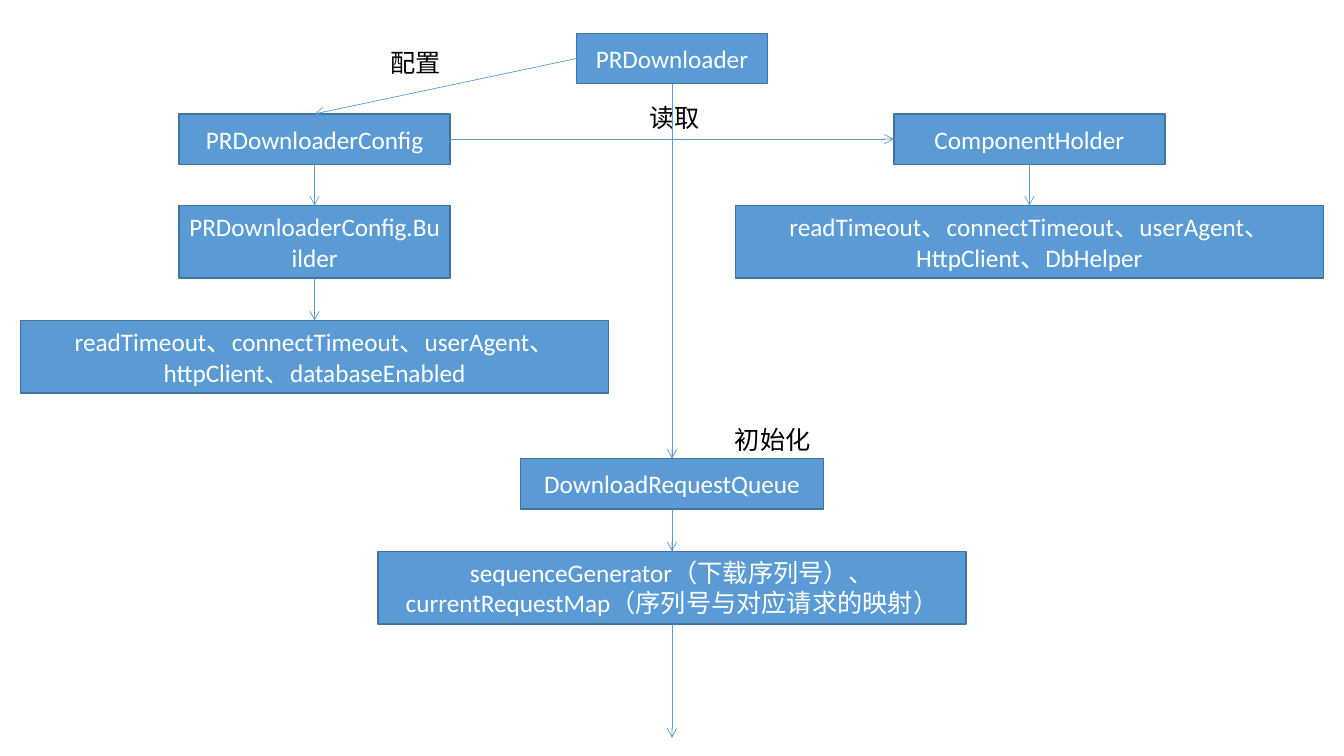
from lxml import etree
from pptx import Presentation
from pptx.dml.color import RGBColor
from pptx.enum.shapes import MSO_CONNECTOR, MSO_SHAPE
from pptx.enum.text import MSO_ANCHOR, MSO_AUTO_SIZE, PP_ALIGN
from pptx.oxml.ns import qn
from pptx.util import Inches, Pt

RECT = MSO_SHAPE.RECTANGLE
LINE = MSO_CONNECTOR.STRAIGHT
MIDDLE = MSO_ANCHOR.MIDDLE
CENTER = PP_ALIGN.CENTER
GROW = MSO_AUTO_SIZE.SHAPE_TO_FIT_TEXT
TOP, LEFT, BOTTOM, RIGHT = range(4)

COLORS = {"fill": "5B9BD5", "edge": "43739E", "light": "FFFFFF", "dark": "000000"}
WIDE, HIGH = 13.33, 7.5

# Three column centres, evenly spaced about the middle of the slide
MID = WIDE / 2
STEP = 3.545
COLS = {"left": MID - STEP, "mid": MID, "right": MID + STEP}
# Row tops
ROWS = [0.33, 1.13, 2.04, 3.18, 4.55, 5.47]
LOW, TALL = 0.5, 0.72
SIDE, BROAD = 2.69, 5.83

# name: column, row, width, height, text
BOXES = {
    "config": ("left", 1, SIDE, LOW, "PRDownloaderConfig"),
    "builder": ("left", 2, SIDE, TALL, "PRDownloaderConfig.Builder"),
    "options": ("left", 3, BROAD, TALL,
                "readTimeout、connectTimeout、userAgent、httpClient、databaseEnabled"),
    "holder": ("right", 1, SIDE, LOW, "ComponentHolder"),
    "fields": ("right", 2, BROAD, TALL,
               "readTimeout、connectTimeout、userAgent、HttpClient、DbHelper"),
    "queue": ("mid", 4, 3.01, LOW, "DownloadRequestQueue"),
    "members": ("mid", 5, BROAD, TALL,
                "sequenceGenerator（下载序列号）、currentRequestMap（序列号与对应请求的映射）"),
}

# left, top, width, text
LABELS = [(3.77, 0.42, 0.7, "配置"), (6.34, 0.97, 0.7, "读取"), (7.19, 4.16, 0.95, "初始化")]

# from, side, to, side
LINKS = [
    ("config", BOTTOM, "builder", TOP),
    ("builder", BOTTOM, "options", TOP),
    ("head", LEFT, "config", TOP),
    ("config", RIGHT, "holder", LEFT),
    ("holder", BOTTOM, "fields", TOP),
    ("head", BOTTOM, "queue", TOP),
    ("queue", BOTTOM, "members", TOP),
]


def color(name):
    return RGBColor.from_string(COLORS[name])


def write(frame, text, tint):
    para = frame.paragraphs[0]
    para.text = text
    para.font.size = Pt(18)
    para.font.name = "Calibri"
    para.font.color.rgb = color(tint)
    return para


def add_box(slide, col, row, width, height, text):
    box = slide.shapes.add_shape(RECT, Inches(COLS[col] - width / 2), Inches(ROWS[row]),
                                 Inches(width), Inches(height))
    box.shadow.inherit = False
    box.fill.solid()
    box.fill.fore_color.rgb = color("fill")
    box.line.color.rgb = color("edge")
    box.line.width = Pt(1)
    box.text_frame.word_wrap = True
    box.text_frame.vertical_anchor = MIDDLE
    write(box.text_frame, text, "light").alignment = CENTER
    return box


def add_label(slide, left, top, width, text):
    label = slide.shapes.add_textbox(Inches(left), Inches(top), Inches(width), Inches(0.4))
    label.text_frame.word_wrap = False
    label.text_frame.auto_size = GROW
    write(label.text_frame, text, "dark")


def add_arrow(slide, start, side, end=None, goal=TOP):
    """Arrow between two boxes, or down to the foot of the slide if end is None."""
    link = slide.shapes.add_connector(LINE, Inches(MID), 0, Inches(MID), Inches(7.32))
    link.begin_connect(start, side)
    if end is not None:
        link.end_connect(end, goal)
    link.line.color.rgb = color("fill")
    link.line.width = Pt(0.5)
    etree.SubElement(link.line._get_or_add_ln(), qn("a:tailEnd"), type="arrow")
    etree.SubElement(link._element.spPr, qn("a:effectLst"))


def main():
    deck = Presentation()
    deck.slide_width, deck.slide_height = Inches(WIDE), Inches(HIGH)
    slide = deck.slides.add_slide(deck.slide_layouts[6])

    # Entry class and the long arrow behind the other boxes
    boxes = {"head": add_box(slide, "mid", 0, 1.89, LOW, "PRDownloader")}
    add_arrow(slide, boxes["head"], BOTTOM)

    # Boxes, labels and arrows
    for name, parts in BOXES.items():
        boxes[name] = add_box(slide, *parts)
    for parts in LABELS:
        add_label(slide, *parts)
    for start, side, end, goal in LINKS:
        add_arrow(slide, boxes[start], side, boxes[end], goal)

    deck.save("out.pptx")


if __name__ == "__main__":
    main()
